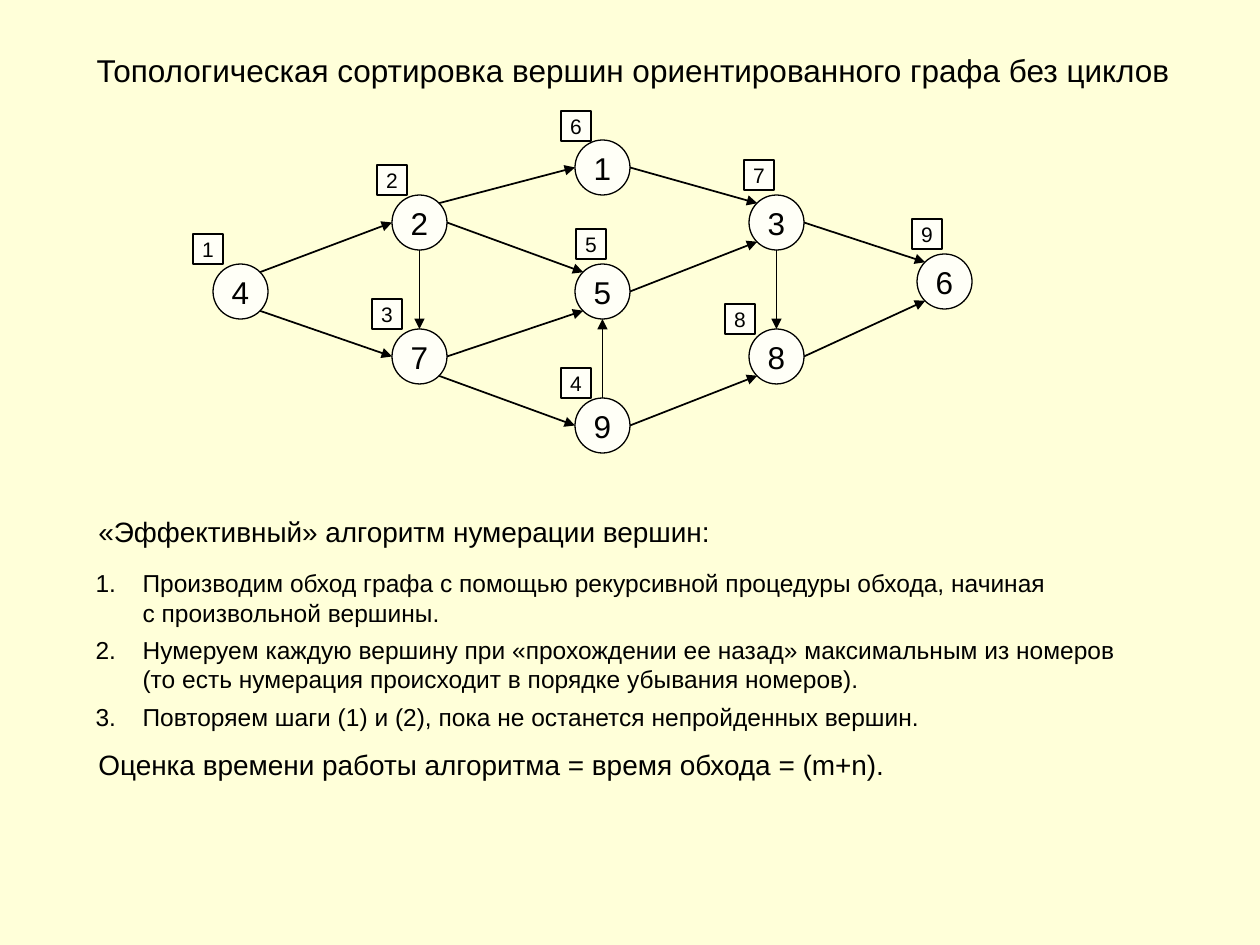
from lxml.etree import SubElement
from pptx import Presentation
from pptx.dml.color import RGBColor
from pptx.enum.shapes import MSO_CONNECTOR, MSO_SHAPE
from pptx.enum.text import MSO_ANCHOR, MSO_AUTO_SIZE, PP_ALIGN
from pptx.oxml.ns import qn
from pptx.util import Emu, Pt

EMU_PER_PX = 914400 / 126
COLORS = {"background": "FFFFD9", "fill": "FFFFF7", "ink": "000000"}
FONT = "Arial"
NODE_SIZE = 55
LABEL_SIZE = 30
LIST_INDENT = 47

NODES = {
    "1": (575, 140), "5": (575, 264), "9": (575, 398),
    "2": (392, 195), "7": (392, 329),
    "3": (749, 195), "8": (749, 329),
    "4": (213, 264), "6": (917, 254),
}
PORTS = {
    "left": (0, 0.5), "right": (1, 0.5), "top": (0.5, 0), "bottom": (0.5, 1),
    "top left": (0.15, 0.15), "top right": (0.85, 0.15),
    "bottom left": (0.15, 0.85), "bottom right": (0.85, 0.85),
}
EDGES = [
    ("4", "top right", "2", "left", 1),
    ("4", "bottom right", "7", "left", 1),
    ("2", "bottom", "7", "top", 0.75),
    ("2", "top right", "1", "left", 1),
    ("2", "right", "5", "top left", 1),
    ("7", "right", "5", "bottom left", 1),
    ("7", "bottom right", "9", "left", 1),
    ("9", "top", "5", "bottom", 1),
    ("1", "right", "3", "top left", 1),
    ("5", "right", "3", "bottom left", 1),
    ("9", "right", "8", "bottom left", 1),
    ("3", "bottom", "8", "top", 1),
    ("3", "right", "6", "top left", 1),
    ("8", "right", "6", "bottom left", 1),
]
ORDER_LABELS = {
    "9": (912, 219), "8": (725, 304), "7": (744, 160),
    "6": (561, 111), "5": (576, 229), "4": (561, 368),
    "3": (372, 299), "2": (377, 165), "1": (193, 234),
}
TITLE = "Топологическая сортировка вершин ориентированного графа без циклов"
INTRO = "«Эффективный» алгоритм нумерации вершин:"
STEPS = [
    ["Производим обход графа с помощью рекурсивной процедуры обхода, начиная",
     "с произвольной вершины."],
    ["Нумеруем каждую вершину при «прохождении ее назад» максимальным из номеров",
     "(то есть нумерация происходит в порядке убывания номеров)."],
    ["Повторяем шаги (1) и (2), пока не останется непройденных вершин."],
]
ESTIMATE = "Оценка времени работы алгоритма = время обхода = (m+n)."


def px(value):
    """Turn pixels into EMU."""
    return Emu(round(value * EMU_PER_PX))


def color(name):
    """Return a named colour."""
    return RGBColor.from_string(COLORS[name])


def add_run(paragraph, text, size):
    """Add one formatted run to a paragraph."""
    run = paragraph.add_run()
    run.text = text
    run.font.name = FONT
    run.font.size = Pt(size)
    run.font.color.rgb = color("ink")


def place(shape, left, top, width, height):
    """Set the position and size of a shape."""
    shape.left, shape.top = px(left), px(top)
    shape.width, shape.height = px(width), px(height)


def prepare_frame(shape, anchor=MSO_ANCHOR.TOP):
    """Give a shape an unwrapped text frame of fixed size."""
    frame = shape.text_frame
    frame.auto_size = MSO_AUTO_SIZE.NONE
    frame.word_wrap = False
    frame.vertical_anchor = anchor
    return frame


def write_line(shape, text, size):
    """Write a single left-aligned line at the top of a shape."""
    paragraph = prepare_frame(shape).paragraphs[0]
    paragraph.alignment = PP_ALIGN.LEFT
    add_run(paragraph, text, size)


def add_text(slide, text, box):
    """Add a text box with one line."""
    write_line(slide.shapes.add_textbox(*map(px, box)), text, 16)


def add_marker(slide, kind, position, side, text, size):
    """Add an outlined square or circle with a centred number."""
    shape = slide.shapes.add_shape(kind, *map(px, (*position, side, side)))
    shape.shadow.inherit = False
    shape.fill.solid()
    shape.fill.fore_color.rgb = color("fill")
    shape.line.color.rgb = color("ink")
    shape.line.width = Pt(0.75)
    paragraph = prepare_frame(shape, MSO_ANCHOR.MIDDLE).paragraphs[0]
    paragraph.alignment = PP_ALIGN.CENTER
    add_run(paragraph, text, size)


def port_point(node, port):
    """Return the point of a port on a node in EMU."""
    return [px(start + share * NODE_SIZE)
            for start, share in zip(NODES[node], PORTS[port])]


def add_edge(slide, source, source_port, target, target_port, width):
    """Add an arrow between two nodes."""
    edge = slide.shapes.add_connector(
        MSO_CONNECTOR.STRAIGHT,
        *port_point(source, source_port), *port_point(target, target_port))
    edge.line.color.rgb = color("ink")
    edge.line.width = Pt(width)
    SubElement(edge.line._get_or_add_ln(), qn("a:tailEnd"), type="triangle")
    SubElement(edge._element.spPr, qn("a:effectLst"))


def fill_steps(placeholder):
    """Write the numbered steps into the body placeholder."""
    frame = prepare_frame(placeholder)
    for index, lines in enumerate(STEPS):
        paragraph = frame.add_paragraph() if index else frame.paragraphs[0]
        paragraph.alignment = PP_ALIGN.LEFT
        paragraph.space_before = Pt(4.5 if index else 0)
        properties = paragraph._p.get_or_add_pPr()
        properties.set("marL", str(px(LIST_INDENT)))
        properties.set("indent", str(-px(LIST_INDENT)))
        SubElement(properties, qn("a:buFont"), typeface=FONT)
        SubElement(properties, qn("a:buAutoNum"), type="arabicPeriod")
        for number, line in enumerate(lines):
            if number:
                paragraph.add_line_break()
            add_run(paragraph, line, 14)


def main():
    """Build the slide and save it."""
    presentation = Presentation()
    presentation.slide_width, presentation.slide_height = px(1260), px(945)
    slide = presentation.slides.add_slide(presentation.slide_layouts[1])
    slide.background.fill.solid()
    slide.background.fill.fore_color.rgb = color("background")

    title, body = slide.placeholders
    place(title, 84, 45, 1103, 50)
    write_line(title, TITLE, 18)
    place(body, 83, 562, 1047, 172)
    fill_steps(body)

    for text, position in NODES.items():
        add_marker(slide, MSO_SHAPE.OVAL, position, NODE_SIZE, text, 18)
    for edge in EDGES:
        add_edge(slide, *edge)
    for text, position in ORDER_LABELS.items():
        add_marker(slide, MSO_SHAPE.RECTANGLE, position, LABEL_SIZE, text, 12)

    add_text(slide, INTRO, (86, 508, 638, 47))
    add_text(slide, ESTIMATE, (86, 741, 814, 47))
    presentation.save("out.pptx")


if __name__ == "__main__":
    main()
